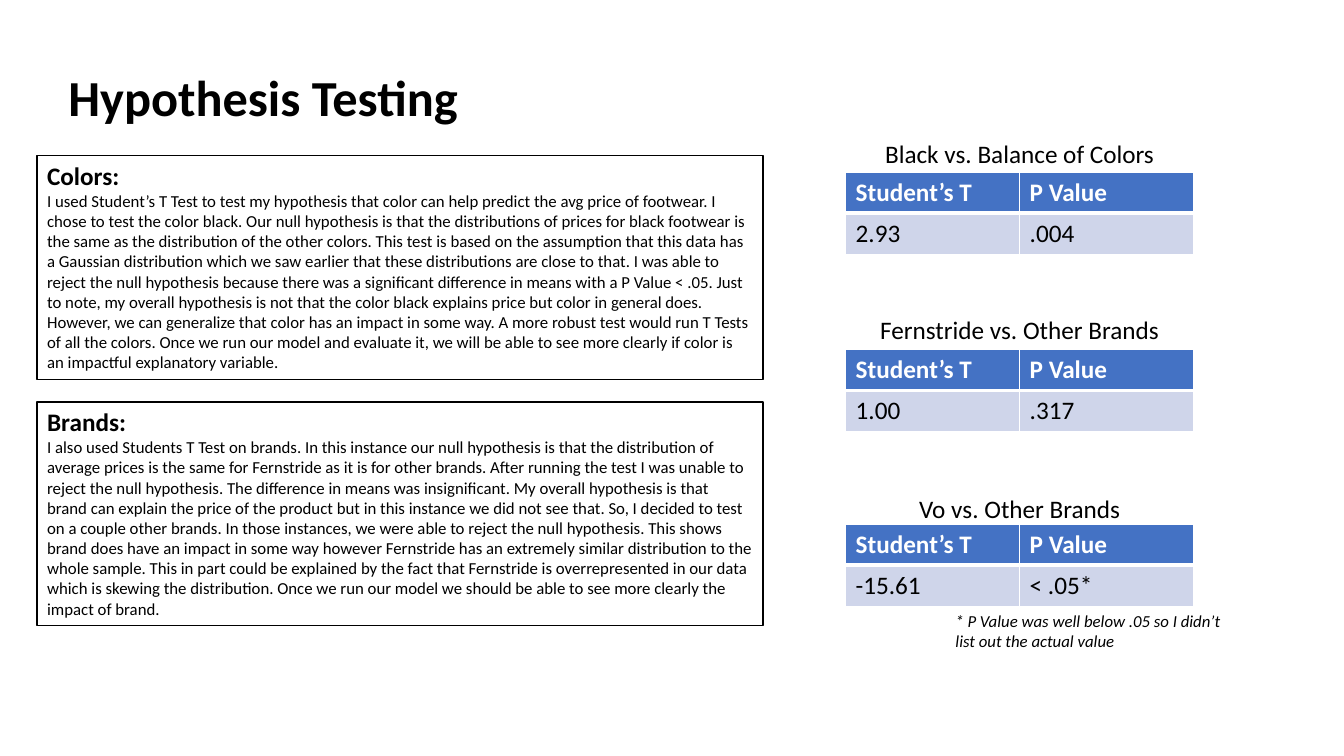
from dataclasses import dataclass

from lxml.etree import SubElement
from pptx import Presentation
from pptx.dml.color import RGBColor
from pptx.enum.shapes import MSO_SHAPE
from pptx.enum.text import MSO_ANCHOR, PP_ALIGN
from pptx.oxml.ns import qn
from pptx.util import Pt

TITLE = "Hypothesis Testing"
FINDINGS = [
    ("Colors:", [
        "I used Student’s T Test to test my hypothesis that color can help predict the avg price of footwear.",
        "I chose to test the color black.",
        "Our null hypothesis is that the distributions of prices for black footwear is the same as the distribution of the other colors.",
        "This test is based on the assumption that this data has a Gaussian distribution which we saw earlier that these distributions are close to that.",
        "I was able to reject the null hypothesis because there was a significant difference in means with a P Value < .05.",
        "Just to note, my overall hypothesis is not that the color black explains price but color in general does.",
        "However, we can generalize that color has an impact in some way.",
        "A more robust test would run T Tests of all the colors.",
        "Once we run our model and evaluate it, we will be able to see more clearly if color is an impactful explanatory variable.",
    ]),
    ("Brands:", [
        "I also used Students T Test on brands.",
        "In this instance our null hypothesis is that the distribution of average prices is the same for Fernstride as it is for other brands.",
        "After running the test I was unable to reject the null hypothesis.",
        "The difference in means was insignificant.",
        "My overall hypothesis is that brand can explain the price of the product but in this instance we did not see that.",
        "So, I decided to test on a couple other brands.",
        "In those instances, we were able to reject the null hypothesis.",
        "This shows brand does have an impact in some way however Fernstride has an extremely similar distribution to the whole sample.",
        "This in part could be explained by the fact that Fernstride is overrepresented in our data which is skewing the distribution.",
        "Once we run our model we should be able to see more clearly the impact of brand.",
    ]),
]
HEADERS = ("Student’s T", "P Value")
TESTS = [
    {"caption": "Black vs. Balance of Colors", "values": ("2.93", ".004"), "caption_top": 95, "table_top": 123.1},
    {"caption": "Fernstride vs. Other Brands", "values": ("1.00", ".317"), "caption_top": 221.3, "table_top": 249.8},
    {"caption": "Vo vs. Other Brands", "values": ("-15.61", "< .05*"), "caption_top": 348.8, "table_top": 374.6},
]
FOOTNOTE = "* P Value was well below .05 so I didn’t list out the actual value"


@dataclass(frozen=True)
class Theme:
    font: str = "Calibri"
    ink: str = "000000"
    paper: str = "FFFFFF"
    header: str = "4472C4"
    band: str = "CFD5EA"
    title_size: int = 36
    heading_size: int = 18
    body_size: int = 12


THEME = Theme()
FINDING_LEFT, FINDING_TOP, FINDING_WIDTH, FINDING_HEIGHT, FINDING_STEP = 26.6, 111, 518.4, 159.9, 176
TEST_LEFT, TEST_WIDTH, ROW_HEIGHT, CAPTION_HEIGHT = 604, 248.6, 29.2, 29.1


def write(paragraph, text, size, color=THEME.ink, **styles):
    run = paragraph.add_run()
    run.text = text
    run.font.color.rgb = RGBColor.from_string(color)
    for name, value in {"name": THEME.font, "size": Pt(size), **styles}.items():
        setattr(run.font, name, value)


def add_label(slide, box, text, size, align=PP_ALIGN.LEFT, **styles):
    frame = slide.shapes.add_textbox(*map(Pt, box)).text_frame
    frame.word_wrap = True
    frame.paragraphs[0].alignment = align
    write(frame.paragraphs[0], text, size, **styles)


def add_finding(slide, top, heading, sentences):
    panel = slide.shapes.add_shape(
        MSO_SHAPE.RECTANGLE, Pt(FINDING_LEFT), Pt(top), Pt(FINDING_WIDTH), Pt(FINDING_HEIGHT))
    panel.shadow.inherit = False
    panel.fill.solid()
    panel.fill.fore_color.rgb = RGBColor.from_string(THEME.paper)
    panel.line.color.rgb = RGBColor.from_string(THEME.ink)
    panel.line.width = Pt(1)
    frame = panel.text_frame
    frame.word_wrap = True
    frame.vertical_anchor = MSO_ANCHOR.TOP
    frame.paragraphs[0].alignment = PP_ALIGN.LEFT
    write(frame.paragraphs[0], heading, THEME.heading_size, bold=True)
    details = frame.add_paragraph()
    details.alignment = PP_ALIGN.LEFT
    write(details, " ".join(sentences), THEME.body_size, bold=False)


def set_borders(cell, widths):
    properties = cell._tc.get_or_add_tcPr()
    for side, width in widths.items():
        border = SubElement(properties, qn(f"a:ln{side}"), w=str(Pt(width)))
        SubElement(SubElement(border, qn("a:solidFill")), qn("a:srgbClr"), val=THEME.paper)


def add_test(slide, caption, values, caption_top, table_top):
    rows = [(HEADERS, THEME.header, THEME.paper, True, {"L": 1, "R": 1, "T": 1, "B": 3}),
            (values, THEME.band, THEME.ink, False, {"L": 1, "R": 1, "T": 3, "B": 1})]
    table = slide.shapes.add_table(
        len(rows), len(HEADERS), Pt(TEST_LEFT), Pt(table_top),
        Pt(TEST_WIDTH), Pt(ROW_HEIGHT * len(rows))).table
    for r, (texts, fill, color, bold, widths) in enumerate(rows):
        for c, text in enumerate(texts):
            cell = table.cell(r, c)
            set_borders(cell, widths)
            cell.fill.solid()
            cell.fill.fore_color.rgb = RGBColor.from_string(fill)
            write(cell.text_frame.paragraphs[0], text, THEME.heading_size, color, bold=bold)
    add_label(slide, (TEST_LEFT, caption_top, TEST_WIDTH, CAPTION_HEIGHT),
              caption, THEME.heading_size, PP_ALIGN.CENTER)


def main():
    deck = Presentation()
    deck.slide_width, deck.slide_height = Pt(960), Pt(540)
    slide = deck.slides.add_slide(deck.slide_layouts[6])
    add_label(slide, (41.8, 43.9, 334, 51), TITLE, THEME.title_size, bold=True)
    for i, (heading, sentences) in enumerate(FINDINGS):
        add_finding(slide, FINDING_TOP + i * FINDING_STEP, heading, sentences)
    for test in TESTS:
        add_test(slide, **test)
    add_label(slide, (675.4, 432.9, 219, 36), FOOTNOTE, THEME.body_size, italic=True)
    deck.save("out.pptx")


if __name__ == "__main__":
    main()
